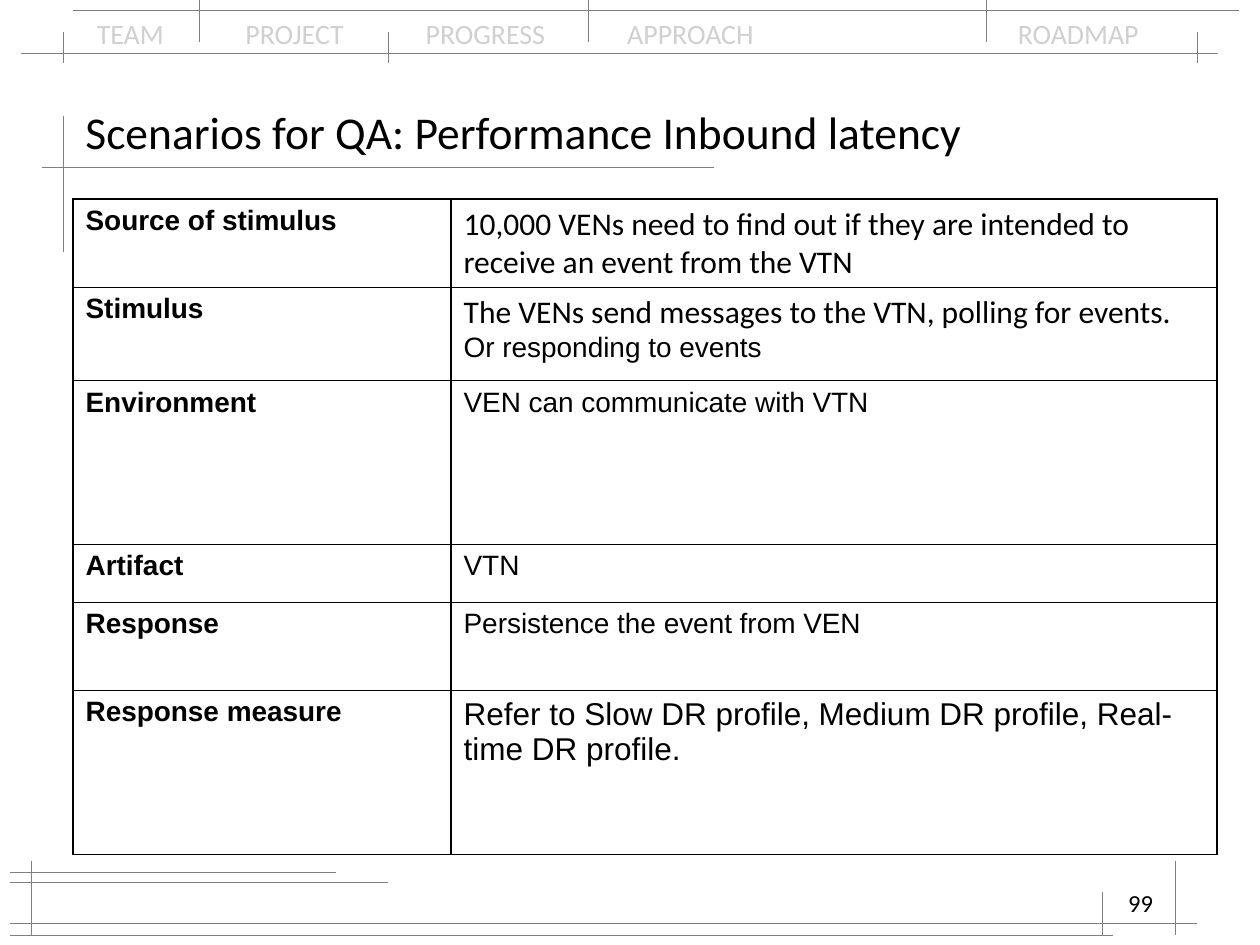
from lxml.etree import SubElement
from pptx import Presentation
from pptx.dml.color import RGBColor
from pptx.enum.shapes import MSO_CONNECTOR as Conn
from pptx.enum.text import MSO_ANCHOR as Anchor, PP_ALIGN as Align
from pptx.oxml import parse_xml
from pptx.oxml.ns import nsdecls, qn
from pptx.util import Inches, Pt

BLACK = RGBColor(0, 0, 0)
GRAY = RGBColor(0x80, 0x80, 0x80)
PALE = RGBColor(0xD0, 0xD0, 0xD0)


def style(para, size, face="Calibri", color=BLACK, bold=False):
    font = para.font
    font.size, font.name, font.bold = Pt(size), face, bold
    font.color.rgb = color


def add_text(words, *spot):
    box = slide.shapes.add_textbox(*map(Inches, spot))
    box.text_frame.word_wrap = True
    para = box.text_frame.paragraphs[0]
    para.text = words
    return box.text_frame, para


deck = Presentation()
deck.slide_width, deck.slide_height = Inches(10), Inches(7.5)
slide = deck.slides.add_slide(deck.slide_layouts[6])

across = [(0.17, 9.67, 0.42), (0.58, 9.83, 0.08), (0.33, 5.67, 1.33),
          (0.08, 3.08, 7), (0.08, 9.5, 7.33), (0.08, 2.67, 6.92),
          (0.08, 8.83, 7.42)]
down = [(0.5, 0.92, 2), (0.25, 6.83, 7.42), (9.33, 6.83, 7.42),
        (8.75, 7.08, 7.42)]
down += [(x, 0.25, 0.5) for x in (0.5, 3.08, 9.5)]
down += [(x, 0, 0.33) for x in (1.58, 4.67, 7.83)]
ends = [(a, y, b, y) for a, b, y in across]
ends += [(x, a, x, b) for x, a, b in down]
for end in ends:
    line = slide.shapes.add_connector(Conn.STRAIGHT, *map(Inches, end))
    line.line.color.rgb = GRAY
    line.line.width = Pt(0.3)
    SubElement(line._element.spPr, qn("a:effectLst"))

frame, para = add_text("TEAM\tPROJECT\tPROGRESS\tAPPROACH\tROADMAP",
                       0.67, 0.08, 8.67, 0.37)
tabs = SubElement(para._p.get_or_add_pPr(), qn("a:tabLst"))
for stop in (1.18, 2.61, 4.21, 7.31):
    SubElement(tabs, qn("a:tab"), pos=str(Inches(stop)), algn="l")
style(para, 16, color=PALE)

frame, para = add_text("Scenarios for QA: Performance Inbound latency",
                       0.58, 0.75, 8.83, 0.58)
frame.vertical_anchor = Anchor.MIDDLE
style(para, 26)

frame, para = add_text("99", 7.17, 7, 2.08, 0.5)
para.alignment = Align.RIGHT
style(para, 14)

rows = [
    ("Source of stimulus", 0.58, [
        ("10,000 VENs need to find out if they are intended to "
         "receive an event from the VTN", 18, "Calibri")]),
    ("Stimulus", 0.74, [
        ("The VENs send messages to the VTN, polling for events.",
         18, "Calibri"),
        ("Or responding to events", 16, "Arial")]),
    ("Environment", 1.3, [("VEN can communicate with VTN", 16, "Arial")]),
    ("Artifact", 0.46, [("VTN", 16, "Arial")]),
    ("Response", 0.7, [("Persistence the event from VEN", 16, "Arial")]),
    ("Response measure", 1.3, [
        ("Refer to Slow DR profile, Medium DR profile, "
         "Real-time DR profile.", 18, "Arial")]),
]
spot = map(Inches, (0.58, 1.58, 9.08, 5.08))
table = slide.shapes.add_table(len(rows), 2, *spot).table
table.first_row = table.horz_banding = False
for col, width in zip(table.columns, (3, 6.08)):
    col.width = Inches(width)

for row, (label, height, paras) in zip(table.rows, rows):
    row.height = Inches(height)
    name, value = row.cells
    name.text = label
    style(name.text_frame.paragraphs[0], 16, "Arial", bold=True)
    value.text = "\n".join(words for words, size, face in paras)
    for para, (words, size, face) in zip(value.text_frame.paragraphs, paras):
        style(para, size, face)
    for cell in row.cells:
        cell.fill.background()
        props = cell._tc.get_or_add_tcPr()
        for spot, side in enumerate("LRTB"):
            props.insert(spot, parse_xml(
                f'<a:ln{side} {nsdecls("a")} w="{Pt(1)}"><a:solidFill>'
                f'<a:srgbClr val="{BLACK}"/></a:solidFill></a:ln{side}>'))

deck.save("out.pptx")
